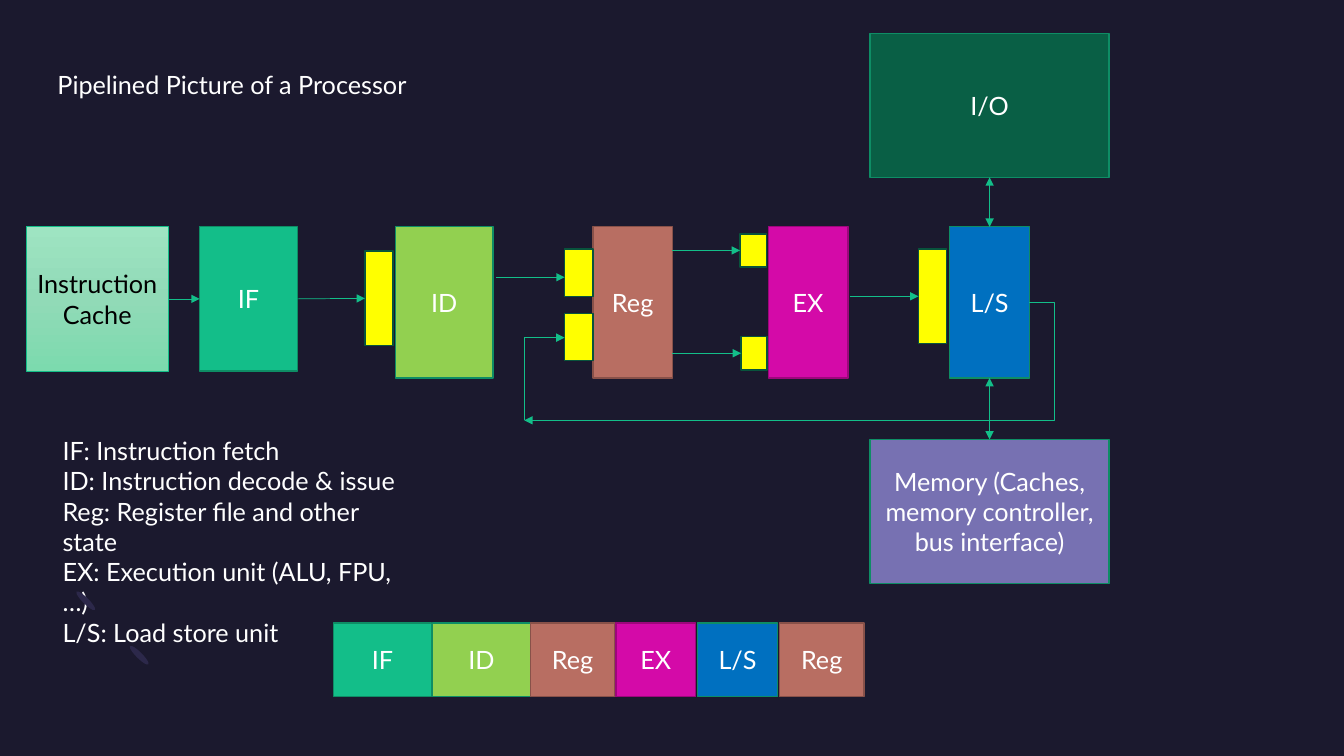
from copy import deepcopy

from lxml import etree
from pptx import Presentation
from pptx.dml.color import RGBColor
from pptx.enum.shapes import MSO_CONNECTOR, MSO_SHAPE
from pptx.enum.text import MSO_ANCHOR, MSO_AUTO_SIZE, PP_ALIGN
from pptx.oxml.ns import qn
from pptx.util import Inches, Pt

RECTANGLE, OVAL = MSO_SHAPE.RECTANGLE, MSO_SHAPE.OVAL
STRAIGHT, ELBOW = MSO_CONNECTOR.STRAIGHT, MSO_CONNECTOR.ELBOW
TOP, MIDDLE = MSO_ANCHOR.TOP, MSO_ANCHOR.MIDDLE
LEFT, CENTER = PP_ALIGN.LEFT, PP_ALIGN.CENTER
NO_FIT = MSO_AUTO_SIZE.NONE
SIDE_TOP, SIDE_LEFT, SIDE_BOTTOM, SIDE_RIGHT = range(4)

WHITE, BLACK, NAVY, SMOKE = "FFFFFF", "000000", "1B192E", "2C284A"
GREEN, DARK_GREEN, FOREST, LATCH_EDGE = "13BE89", "0E8D65", "095F45", "08533C"
YELLOW, PURPLE = "FFFF00", "7771B2"
CACHE_SHADES = ["9EE4C2", "91DAB7", "7CDAAE"]
STAGE_COLOURS = {
    "IF": (GREEN, DARK_GREEN),
    "ID": ("92D050", DARK_GREEN),
    "Reg": ("B86E62", "885149"),
    "EX": ("D40AA8", "9D077C"),
    "L/S": ("0070C0", DARK_GREEN),
}


def colour(value):
    return RGBColor.from_string(value)


def apply(target, formats):
    for name, value in formats.items():
        setattr(target, name, value)


class PipelineSlide:
    cell = Inches(0.1)
    font = {"name": "Lato", "size": Pt(18), "bold": False}

    def __init__(self, deck):
        self.slide = deck.slides.add_slide(deck.slide_layouts[1])
        self.slide.background.fill.solid()
        self.slide.background.fill.fore_color.rgb = colour(NAVY)

    def grid(self, *cells):
        return [round(count * self.cell) for count in cells]

    def put_text(self, shape, lines, ink, align, anchor):
        frame = shape.text_frame
        frame.text = "\n".join(lines)
        apply(frame, {"word_wrap": True, "auto_size": NO_FIT, "vertical_anchor": anchor})
        for paragraph in frame.paragraphs:
            apply(paragraph, {"alignment": align, "space_before": Pt(0), "line_spacing": 1.0})
            apply(paragraph.runs[0].font, self.font)
            paragraph.runs[0].font.color.rgb = colour(ink)

    def placeholder(self, index, area, lines, anchor):
        holder = self.slide.placeholders[index]
        apply(holder, dict(zip(("left", "top", "width", "height"), self.grid(*area))))
        self.put_text(holder, lines, WHITE, LEFT, anchor)
        for paragraph in holder.text_frame.paragraphs:
            properties = paragraph._p.get_or_add_pPr()
            properties.set("marL", "0")
            properties.set("indent", "0")
            etree.SubElement(properties, qn("a:buNone"))

    def box(self, area, fill, edge=None, label=None, ink=WHITE, weight=1, kind=RECTANGLE):
        shape = self.slide.shapes.add_shape(kind, *self.grid(*area))
        shape.shadow.inherit = False
        if isinstance(fill, list):
            self.shade(shape, fill)
        else:
            shape.fill.solid()
            shape.fill.fore_color.rgb = colour(fill)
        if edge:
            shape.line.color.rgb = colour(edge)
            shape.line.width = Pt(weight)
        else:
            shape.line.fill.background()
        if label:
            self.put_text(shape, [label], ink, CENTER, MIDDLE)
        return shape

    def shade(self, shape, shades):
        shape.fill.gradient()
        shape.fill.gradient_angle = 270
        stops = shape._element.spPr.find(".//" + qn("a:gsLst"))
        stops.insert(1, deepcopy(stops[0]))
        for stop, shade, position in zip(shape.fill.gradient_stops, shades, (0, 0.5, 1)):
            stop.color.rgb = colour(shade)
            stop.position = position

    def stage(self, name, area):
        return self.box(area, *STAGE_COLOURS[name], name)

    def arrow(self, start=(0, 0), end=(0, 0), leave=None, reach=None, both=False, bend=None):
        kind = STRAIGHT if bend is None else ELBOW
        wire = self.slide.shapes.add_connector(kind, *self.grid(*start, *end))
        if leave:
            wire.begin_connect(*leave)
        if reach:
            wire.end_connect(*reach)
        wire.line.color.rgb = colour(GREEN)
        wire.line.width = Pt(0.5)
        properties = wire._element.spPr
        line = properties.find(qn("a:ln"))
        for tip in ("a:headEnd", "a:tailEnd") if both else ("a:tailEnd",):
            etree.SubElement(line, qn(tip), type="triangle")
        etree.SubElement(properties, qn("a:effectLst"))
        if bend is not None:
            guides = properties.find(".//" + qn("a:avLst"))
            etree.SubElement(guides, qn("a:gd"), name="adj1", fmla=f"val {bend}")


def main():
    deck = Presentation()
    deck.slide_width, deck.slide_height = Inches(13.33), Inches(7.5)
    page = PipelineSlide(deck)

    for left, top in ((13.5, 63.7), (8.2, 58.3)):
        page.box((left, top, 0.6, 2.6), SMOKE, kind=OVAL).rotation = 135

    page.placeholder(0, (4.7, 6.4, 66.6, 4), ["Pipelined Picture of a Processor"], MIDDLE)
    page.placeholder(1, (5.2, 42.7, 36.2, 22), [
        "IF: Instruction fetch",
        "ID: Instruction decode & issue",
        "Reg: Register file and other state",
        "EX: Execution unit (ALU, FPU, …)",
        "L/S: Load store unit",
    ], TOP)

    cache = page.box((2.6, 22.5, 14.1, 14.3), CACHE_SHADES, GREEN,
                     "Instruction Cache", BLACK, 0.5)
    fetch = page.stage("IF", (19.8, 22.5, 9.7, 14.3))
    page.stage("ID", (39.2, 22.5, 9.7, 15))
    for name, left in (("Reg", 58.8), ("EX", 76.2)):
        page.stage(name, (left, 22.5, 7.9, 15))
    load_store = page.stage("L/S", (94.2, 22.5, 7.9, 15))
    ports = page.box((86.3, 3.3, 23.7, 14.3), FOREST, DARK_GREEN, "I/O")
    memory = page.box((86.3, 43.6, 23.7, 14.3), PURPLE, DARK_GREEN,
                      "Memory (Caches, memory controller, bus interface)")

    decode_latch, _, _, upper_latch, lower_latch, store_latch = [
        page.box(area, YELLOW, LATCH_EDGE) for area in (
            (36.2, 24.9, 2.8, 9.4),
            (56, 24.7, 2.8, 4.7),
            (56, 31.1, 2.8, 4.7),
            (73.4, 23.2, 2.6, 3.3),
            (73.5, 33.4, 2.6, 3.3),
            (91.1, 24.7, 2.8, 9.4),
        )
    ]

    page.arrow(leave=(cache, SIDE_RIGHT), reach=(fetch, SIDE_LEFT))
    page.arrow(leave=(fetch, SIDE_RIGHT), reach=(decode_latch, SIDE_LEFT))
    page.arrow((49.2, 27.5), (56, 27.5))
    for column, row, latch in ((66.7, 24.85, upper_latch), (66.7, 35.05, lower_latch),
                               (84.3, 29.4, store_latch)):
        page.arrow((column, row), reach=(latch, SIDE_LEFT))
    page.arrow(leave=(ports, SIDE_BOTTOM), reach=(load_store, SIDE_TOP), both=True)
    page.arrow(leave=(load_store, SIDE_BOTTOM), reach=(memory, SIDE_TOP), both=True)
    page.arrow((102.1, 30), (52, 41.7), bend=-5000)
    page.arrow((52, 41.7), (56, 33.5), bend=0)

    for name, left, width in (("IF", 33.1, 9.7), ("ID", 42.9, 9.7), ("Reg", 52.6, 8.4),
                              ("EX", 61.1, 7.9), ("L/S", 69.2, 7.9), ("Reg", 77.3, 8.4)):
        page.stage(name, (left, 61.8, width, 7.3))

    deck.save("out.pptx")


if __name__ == "__main__":
    main()
